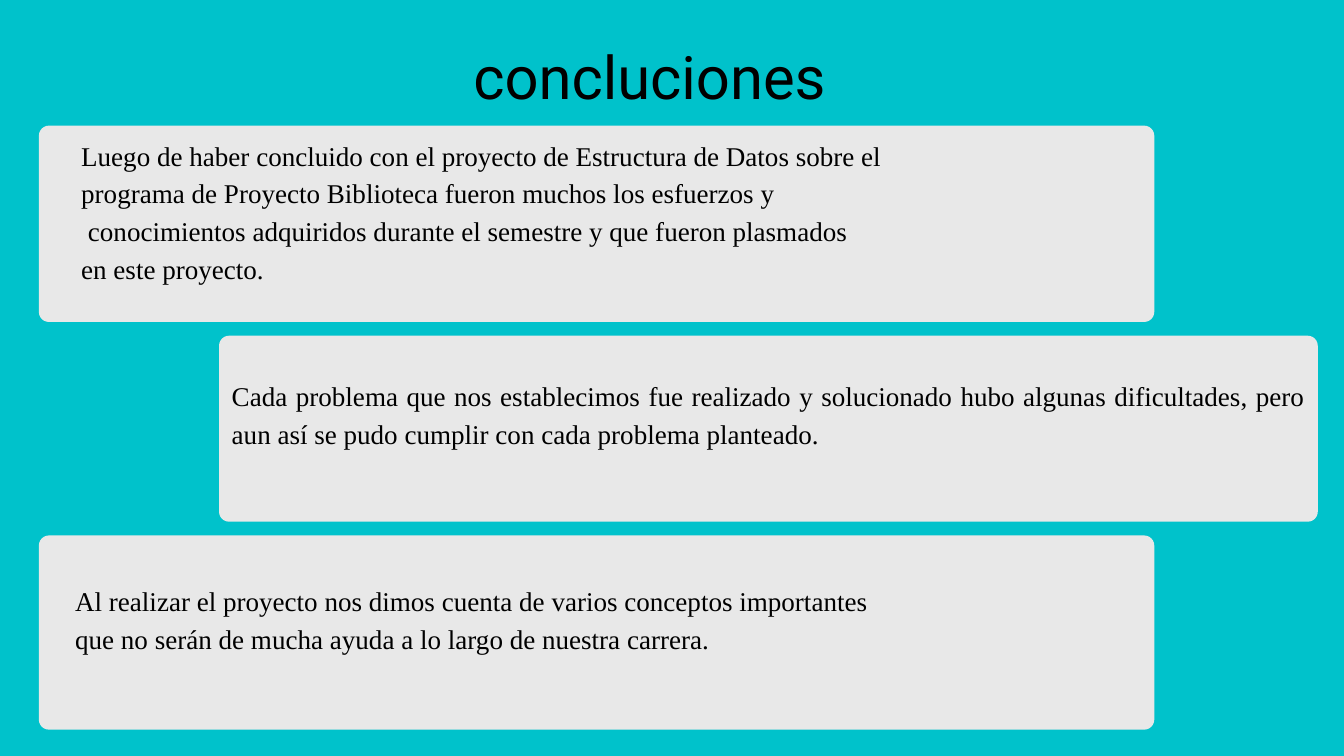
import pptx
import pptx.dml.color
import pptx.enum.shapes
import pptx.enum.text
import pptx.util

Cm = pptx.util.Cm
Pt = pptx.util.Pt
ALIGN = pptx.enum.text.PP_ALIGN

COLORS = {"background": "00C2CB", "card": "E8E8E8", "text": "000000"}
FRAME_FORMAT = {
    "margin_left": 0,
    "margin_top": 0,
    "margin_right": 0,
    "margin_bottom": 0,
    "word_wrap": True,
    "auto_size": pptx.enum.text.MSO_AUTO_SIZE.NONE,
    "vertical_anchor": pptx.enum.text.MSO_ANCHOR.TOP,
}
TITLE_FORMAT = {
    "font": {"name": "Roboto", "size": Pt(64), "bold": False},
    "paragraph": {"alignment": ALIGN.CENTER, "line_spacing": Pt(76.8)},
}
BODY_FORMAT = {
    "font": {"name": "Times New Roman", "size": Pt(29), "bold": False},
    "paragraph": {"alignment": ALIGN.JUSTIFY, "line_spacing": Pt(40.6)},
}
CORNER_RADIUS = 0.38
CARDS_TOP = 4.75
CARD_GAP = 0.52

CONCLUSIONS = [
    {
        "left": 1.47, "width": 42.16, "height": 7.42,
        "text_box": (1.6, 0.3, 38.91, 7.09),
        "lines": [
            "Luego de haber concluido con el proyecto de Estructura de Datos sobre el ",
            "programa de Proyecto Biblioteca fueron muchos los esfuerzos y",
            " conocimientos adquiridos durante el semestre y que fueron plasmados ",
            "en este proyecto.",
        ],
    },
    {
        "left": 8.28, "width": 41.53, "height": 7.03,
        "text_box": (0.48, 1.45, 40.59, 7.09),
        "lines": [
            "Cada problema que nos establecimos fue realizado y solucionado hubo "
            "algunas dificultades, pero aun así se pudo cumplir con cada problema "
            "planteado.",
        ],
    },
    {
        "left": 1.47, "width": 42.16, "height": 7.34,
        "text_box": (1.37, 1.65, 38.61, 5.66),
        "lines": [
            "Al realizar el proyecto nos dimos cuenta de varios conceptos importantes ",
            "que no serán de mucha ayuda a lo largo de nuestra carrera.",
        ],
    },
]


def color(name):
    return pptx.dml.color.RGBColor.from_string(COLORS[name])


def apply_format(target, values):
    for attribute, value in values.items():
        setattr(target, attribute, value)


def write_lines(frame, lines, style):
    apply_format(frame, FRAME_FORMAT)
    for index, line in enumerate(lines):
        paragraph = frame.add_paragraph() if index else frame.paragraphs[0]
        apply_format(paragraph, {**style["paragraph"], "space_before": Pt(0)})
        run = paragraph.add_run()
        run.text = line
        apply_format(run.font, style["font"])
        run.font.color.rgb = color("text")


def place_title(slide, left, top, width, height):
    heading = slide.shapes.title
    apply_format(heading, {"left": Cm(left), "top": Cm(top),
                           "width": Cm(width), "height": Cm(height)})
    write_lines(heading.text_frame, ["concluciones"], TITLE_FORMAT)


def place_conclusion(slide, left, top, width, height, text_box, lines):
    card = slide.shapes.add_shape(
        pptx.enum.shapes.MSO_SHAPE.ROUNDED_RECTANGLE,
        Cm(left), Cm(top), Cm(width), Cm(height))
    card.adjustments[0] = CORNER_RADIUS / height
    card.shadow.inherit = False
    card.fill.solid()
    card.fill.fore_color.rgb = color("card")
    card.line.fill.background()

    inset_x, inset_y, text_width, text_height = text_box
    conclusion = slide.shapes.add_textbox(
        Cm(left + inset_x), Cm(top + inset_y), Cm(text_width), Cm(text_height))
    write_lines(conclusion.text_frame, lines, BODY_FORMAT)


def main():
    deck = pptx.Presentation()
    deck.slide_width = Cm(50.8)
    deck.slide_height = Cm(28.575)
    slide = deck.slides.add_slide(deck.slide_layouts.get_by_name("Title Only"))
    slide.background.fill.solid()
    slide.background.fill.fore_color.rgb = color("background")

    place_title(slide, 7.54, 1.5, 34.01, 2.69)
    top = CARDS_TOP
    for conclusion in CONCLUSIONS:
        place_conclusion(slide, top=top, **conclusion)
        top += conclusion["height"] + CARD_GAP

    deck.save("out.pptx")


if __name__ == "__main__":
    main()
